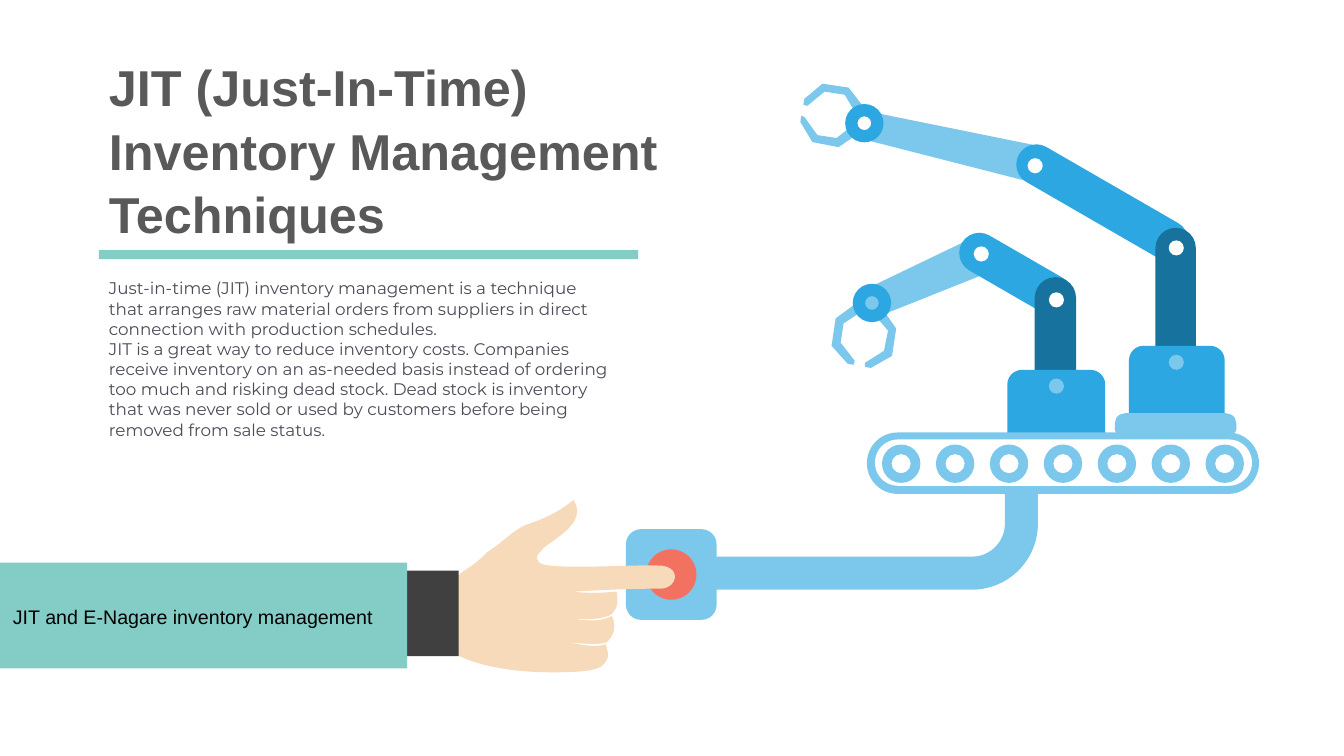
"""Build the JIT inventory slide with its robot arms, conveyor and pointing hand."""
from pptx import Presentation
from pptx.dml.color import RGBColor
from pptx.enum.shapes import MSO_SHAPE
from pptx.enum.text import MSO_ANCHOR, PP_ALIGN
from pptx.oxml.ns import qn
from pptx.util import Pt

RECT, ROUNDED = MSO_SHAPE.RECTANGLE, MSO_SHAPE.ROUNDED_RECTANGLE
OVAL, DONUT = MSO_SHAPE.OVAL, MSO_SHAPE.DONUT
BENT_ARROW, TRAPEZOID = MSO_SHAPE.BENT_ARROW, MSO_SHAPE.TRAPEZOID
ROUND_TOP = MSO_SHAPE.ROUND_2_SAME_RECTANGLE
LEFT, CENTER, TOP = PP_ALIGN.LEFT, PP_ALIGN.CENTER, MSO_ANCHOR.TOP

SKY = RGBColor(0x7C, 0xC8, 0xEC)
BLUE = RGBColor(0x2D, 0xA7, 0xE1)
NAVY = RGBColor(0x17, 0x72, 0x9D)
CORAL = RGBColor(0xF2, 0x71, 0x61)
TEAL = RGBColor(0x84, 0xCC, 0xC6)
SKIN = RGBColor(0xF7, 0xDA, 0xBA)
CHARCOAL = RGBColor(0x40, 0x40, 0x40)
TITLE_GRAY = RGBColor(0x59, 0x59, 0x59)
BODY_GRAY = RGBColor(0x4C, 0x4B, 0x58)
WHITE = RGBColor(0xFF, 0xFF, 0xFF)
BLACK = RGBColor(0, 0, 0)

TITLE = "JIT (Just-In-Time) Inventory Management Techniques"
BODY = [
    "Just-in-time (JIT) inventory management is a technique that arranges raw material "
    "orders from suppliers in direct connection with production schedules.",
    "JIT is a great way to reduce inventory costs. Companies receive inventory on an "
    "as-needed basis instead of ordering too much and risking dead stock. Dead stock is "
    "inventory that was never sold or used by customers before being removed from sale status.",
]
CAPTION = "JIT and E-Nagare inventory management"

# Each part: preset, (left, top, width, height), colour, rotation, adjustments
BUTTON_PARTS = [
    (ROUNDED, (447.1, 378, 64.8, 64.8), SKY, 0, [0.167]),
    (OVAL, (461.5, 392.4, 36, 36), CORAL, 0, []),
]
PIPE = (BENT_ARROW, (589, 266.4, 69.8, 239.8), SKY, 90, [0.338, 0.203, 0.007, 0.676])
SLEEVE_PARTS = [
    (RECT, (70.6, 178.6, 385.2, 6.5), TEAL, 0, []),
    (RECT, (290.2, 407.5, 37.4, 61.2), CHARCOAL, 0, []),
    (RECT, (0, 401.8, 290.9, 75.6), TEAL, 0, []),
]
ROBOT_PARTS = [
    (TRAPEZOID, (645.8, 154.1, 27.4, 92.2), SKY, 246.3, [0.115]),
    (ROUNDED, (681.1, 181.4, 89.3, 28.8), BLUE, 30, [0.5]),
    (ROUND_TOP, (739.1, 198, 29.5, 86.4), NAVY, 0, [0.5, 0]),
    (ROUND_TOP, (719.5, 264.2, 70, 55.4), BLUE, 0, [0.19, 0.06]),
    (TRAPEZOID, (670.3, 43.9, 26.6, 121), SKY, 282.9, [0.115]),
    (ROUNDED, (718.6, 130.3, 137.5, 28.8), BLUE, 30, [0.5]),
    (ROUND_TOP, (825.4, 162.7, 28.8, 85.7), NAVY, 0, [0.5, 0]),
    (ROUND_TOP, (806.4, 247, 68.4, 54.7), BLUE, 0, [0.19, 0.06]),
    (ROUND_TOP, (796.3, 295.2, 86.8, 14.4), SKY, 0, [0.5, 0.2]),
    (ROUNDED, (619.2, 308.9, 280.1, 43.9), SKY, 0, [0.5]),
    (ROUNDED, (625, 313.9, 269.3, 33.1), WHITE, 0, [0.5]),
]
WRISTS = [(622.8, 216.4), (617.4, 88)]
WHITE_PINS = [(700.9, 181.4), (754.6, 214.2), (739.4, 118.4), (840.2, 177.1)]
SKY_PINS = [(754.6, 275.8), (840.2, 258.8)]
ROLLER_COUNT, ROLLER_LEFT, ROLLER_STEP, ROLLER_TOP, ROLLER_SIZE = 7, 630, 38.52, 317.5, 27.4

CLAWS = [
    [(610.6, 217.4), (596.9, 227.5), (594, 247), (605.5, 259.9), (609.8, 260.6),
     (610.6, 257.8), (600.5, 244.8), (602.6, 231.1), (613.4, 223.9)],
    [(630.7, 221), (640.1, 234.7), (637.2, 254.2), (622.1, 262.8), (617.8, 262.1),
     (617.8, 259.2), (631.4, 250.6), (634.3, 236.2), (625.7, 226.1)],
    [(616.3, 75.6), (606.2, 62.6), (587.5, 59.8), (574.6, 70.6), (573.8, 74.9),
     (576.7, 75.6), (589, 65.5), (603.4, 67.7), (609.8, 78.5)],
    [(612.7, 95.8), (599, 105.1), (580.3, 101.5), (571.7, 87.1), (572.4, 82.8),
     (574.6, 83.5), (583.9, 96.5), (597.6, 98.6), (607.7, 90.7)],
]
HAND_START = (409.7, 357.1)
HAND_CURVES = [
    [(397.4, 367.2), (385.9, 371.5), (375.1, 375.1)],
    [(365, 380.2), (360, 386.6), (347.8, 394.6)],
    [(339.8, 403.2), (333.4, 406.1), (329.8, 409)],
    [(322.6, 415.4), (319.7, 411.8), (311, 411.8)],
    [(311, 429.8), (311, 447.8), (311, 465.8)],
    [(316.1, 464.4), (317.5, 463), (325.4, 467.3)],
    [(349.9, 480.2), (386.6, 480.2), (395.3, 480.2)],
    [(412.6, 480.2), (423.4, 479.5), (429.8, 475.9)],
    [(435.6, 470.2), (434.9, 468), (432.7, 460.1)],
    [(424.8, 463), (414.7, 460.1), (408.2, 459.4)],
    [(408.2, 458.6), (428.4, 461.5), (433.4, 458.6)],
    [(438.5, 454.3), (440.6, 447.1), (437, 439.9)],
    [(427.7, 445), (417.6, 442.8), (410.4, 442.1)],
    [(410.4, 441.4), (429.1, 444.2), (437, 438.5)],
    [(441.4, 433.4), (441.4, 431.3), (440.6, 422.6)],
    [(429.1, 423.4), (422.6, 424.1), (409, 422.6)],
    [(445.7, 420.5), (459.4, 420.5), (472.3, 420.5)],
    [(484.6, 419.8), (487.4, 403.2), (468.7, 403.9)],
    [(451.4, 403.2), (390.2, 407.5), (385.2, 401.8)],
    [(382.3, 397.4), (383, 397.4), (388.8, 391)],
    [(397.4, 383.8), (419.8, 373), (409.7, 357.1)],
]
CURVE_STEPS = 12


def paint(shape, color):
    shape.shadow.inherit = False
    shape.fill.solid()
    shape.fill.fore_color.rgb = color
    shape.line.fill.background()


def add_part(page, preset, frame, color, rotation=0, adjustments=()):
    shape = page.shapes.add_shape(preset, *map(Pt, frame))
    shape.rotation = rotation
    for index, value in enumerate(adjustments):
        shape.adjustments[index] = value
    paint(shape, color)
    return shape


def add_round(page, preset, center, size, color, adjustments=()):
    x, y = center
    add_part(page, preset, (x - size / 2, y - size / 2, size, size), color, 0, adjustments)


def add_outline(page, points, color):
    corners = [(Pt(x), Pt(y)) for x, y in points]
    builder = page.shapes.build_freeform(*corners[0], scale=1.0)
    builder.add_line_segments(corners[1:], close=True)
    paint(builder.convert_to_shape(), color)


def trace_curves(start, curves):
    points = [start]
    for first, second, end in curves:
        begin = points[-1]
        for step in range(1, CURVE_STEPS + 1):
            t = step / CURVE_STEPS
            weights = ((1 - t) ** 3, 3 * t * (1 - t) ** 2, 3 * t ** 2 * (1 - t), t ** 3)
            controls = (begin, first, second, end)
            points.append(tuple(sum(w * c[axis] for w, c in zip(weights, controls))
                                for axis in (0, 1)))
    return points


def write(box, frame, lines, font, size, color, bold=False, align=LEFT, spacing=1.0):
    box.left, box.top, box.width, box.height = map(Pt, frame)
    text = box.text_frame
    text.word_wrap = True
    text.vertical_anchor = TOP
    text.text = "\n".join(lines)
    for para in text.paragraphs:
        para.alignment, para.line_spacing, para.space_before = align, spacing, Pt(0)
        para.font.name, para.font.size, para.font.bold = font, Pt(size), bold
        para.font.color.rgb = color
        properties = para._p.get_or_add_pPr()
        properties.set("marL", "0")
        properties.set("indent", "0")
        bullet = properties.makeelement(qn("a:buNone"), {})
        properties.insert_element_before(bullet, "a:tabLst", "a:defRPr", "a:extLst")


def main():
    deck = Presentation()
    deck.slide_width, deck.slide_height = Pt(960), Pt(540)
    page = deck.slides.add_slide(deck.slide_layouts[1])
    write(page.shapes.title, (70.6, 34.6, 424.8, 138.2), [TITLE], "Arial", 36, TITLE_GRAY,
          bold=True, spacing=1.05)
    write(page.placeholders[1], (70.6, 195.1, 374.4, 124), BODY, "Montserrat", 12, BODY_GRAY)

    for part in BUTTON_PARTS:
        add_part(page, *part)
    pipe = add_part(page, *PIPE)
    pipe._element.spPr.find(qn("a:xfrm")).set("flipH", "1")
    add_outline(page, trace_curves(HAND_START, HAND_CURVES), SKIN)
    for claw in CLAWS:
        add_outline(page, claw, SKY)
    for part in SLEEVE_PARTS + ROBOT_PARTS:
        add_part(page, *part)
    for center in WRISTS:
        add_round(page, DONUT, center, 27.4, BLUE, [0.32])
    for color, pins in ((WHITE, WHITE_PINS), (SKY, SKY_PINS)):
        for center in pins:
            add_round(page, OVAL, center, 10.8, color)
    for index in range(ROLLER_COUNT):
        left = ROLLER_LEFT + index * ROLLER_STEP
        add_part(page, DONUT, (left, ROLLER_TOP, ROLLER_SIZE, ROLLER_SIZE), SKY, 0, [0.25])

    caption = page.shapes.add_textbox(0, 0, 0, 0)
    write(caption, (0, 428.4, 275.8, 24.5), [CAPTION], "Arial", 14, BLACK, align=CENTER)
    deck.save("out.pptx")


if __name__ == "__main__":
    main()
